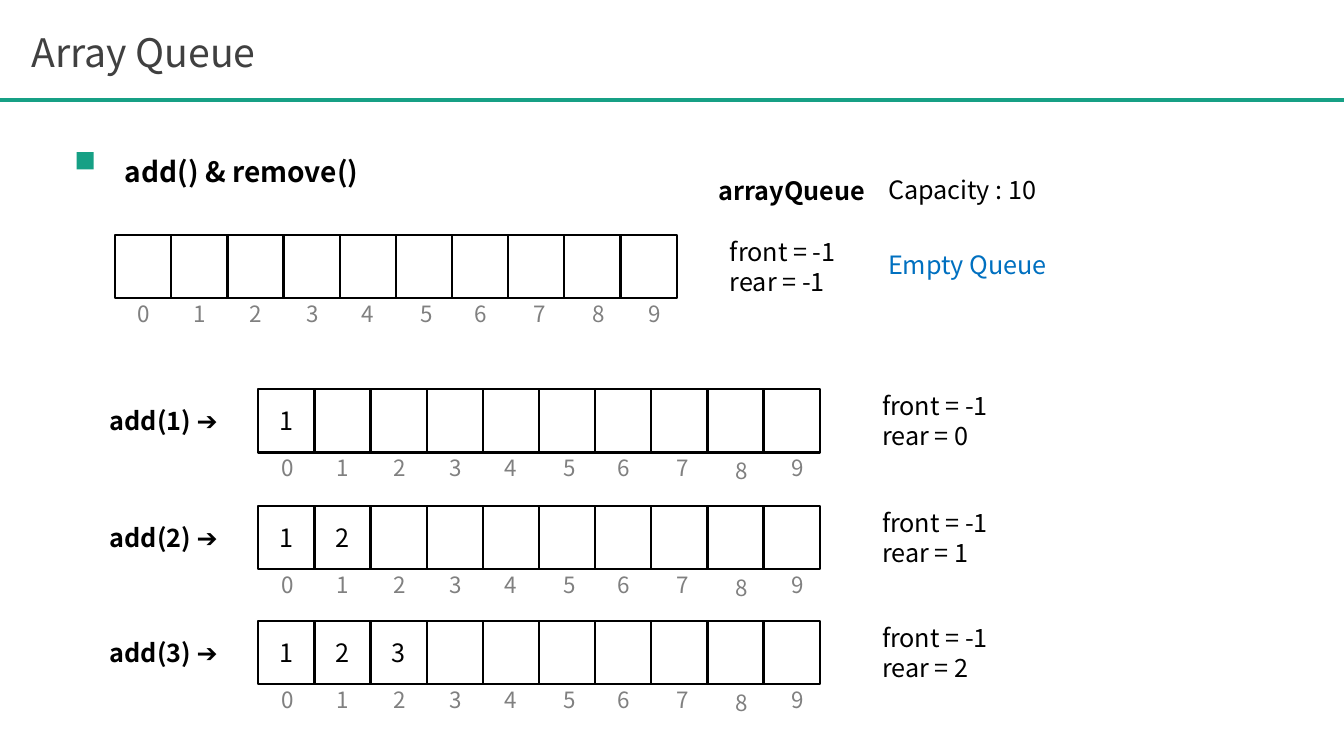
from lxml import etree
from pptx import Presentation
from pptx.dml.color import RGBColor
from pptx.enum.shapes import MSO_CONNECTOR, MSO_SHAPE
from pptx.enum.text import MSO_ANCHOR, MSO_AUTO_SIZE, PP_ALIGN
from pptx.oxml.ns import qn
from pptx.util import Inches, Pt

FONT = "Noto Sans CJK KR"
COLORS = {"teal": "16A085", "title": "404040", "text": "000000",
          "index": "808080", "blue": "0070C0"}
CAPACITY = 10
CELL_W, CELL_H = 0.56, 0.63
CELL_STEP = 0.557
INDEX_OFFSETS = [0.13, 0.68, 1.24, 1.8, 2.35, 2.93, 3.47, 4.05, 4.64, 5.19]


def write(sp, text, size=18, color="text", bold=False, align=PP_ALIGN.LEFT,
          anchor=MSO_ANCHOR.TOP, spacing=None, wrap=True):
    """Fill a shape with text, one paragraph per line."""
    tf = sp.text_frame
    tf.word_wrap = wrap
    tf.vertical_anchor = anchor
    for i, line in enumerate(text.split("\n")):
        p = tf.paragraphs[0] if i == 0 else tf.add_paragraph()
        p.alignment = align
        if spacing:
            p.line_spacing = spacing
        r = p.add_run()
        r.text = line
        r.font.name = FONT
        r.font.size = Pt(size)
        r.font.bold = bold
        r.font.color.rgb = RGBColor.from_string(COLORS[color])


def add_text(shapes, text, left, top, width, height, **fmt):
    """Add a text box that grows with its text."""
    sp = shapes.add_textbox(Inches(left), Inches(top), Inches(width), Inches(height))
    write(sp, text, **fmt)
    sp.text_frame.auto_size = MSO_AUTO_SIZE.SHAPE_TO_FIT_TEXT


prs = Presentation()
prs.slide_width, prs.slide_height = Inches(13.33), Inches(7.5)
s = prs.slides.add_slide(prs.slide_layouts[5])

# Header
rule = s.shapes.add_connector(MSO_CONNECTOR.STRAIGHT, 0, Inches(0.99),
                              prs.slide_width, Inches(0.99))
rule.line.color.rgb = RGBColor.from_string(COLORS["teal"])
rule.line.width = Pt(3)
etree.SubElement(rule._element.spPr, qn("a:effectLst"))

title = s.shapes.title
title.left, title.top = Inches(0.21), Inches(0.23)
title.width, title.height = Inches(10.15), Inches(0.57)
write(title, "Array Queue", size=28, color="title")
title.text_frame.auto_size = MSO_AUTO_SIZE.SHAPE_TO_FIT_TEXT

# Section heading with its square marker
add_text(s.shapes, "add() & remove()", 1.14, 1.15, 9.4, 0.77, size=20, bold=True,
         align=PP_ALIGN.JUSTIFY, spacing=2.0)
marker = s.shapes.add_shape(MSO_SHAPE.RECTANGLE, Inches(0.76), Inches(1.51),
                            Inches(0.17), Inches(0.17))
marker.shadow.inherit = False
marker.fill.solid()
marker.fill.fore_color.rgb = RGBColor.from_string(COLORS["teal"])
marker.line.fill.background()

# Queue states: left, top, values, drop of index 8, state left, state width
queues = [(1.14, 2.33, [], 0, 7.14, 1.51),
          (2.56, 3.86, [1], 0.03, 8.65, 2.47),
          (2.56, 5.02, [1, 2], 0.03, 8.65, 2.47),
          (2.56, 6.16, [1, 2, 3], 0.03, 8.65, 2.47)]
for left, top, values, drop, state_left, state_w in queues:
    group = s.shapes.add_group_shape()
    for i in range(CAPACITY):
        cell = group.shapes.add_shape(
            MSO_SHAPE.RECTANGLE, Inches(left + i * CELL_STEP), Inches(top),
            Inches(CELL_W), Inches(CELL_H))
        cell.shadow.inherit = False
        cell.fill.background()
        cell.line.color.rgb = RGBColor.from_string(COLORS["text"])
        cell.line.width = Pt(1.5)
        if i < len(values):
            write(cell, str(values[i]), align=PP_ALIGN.CENTER, anchor=MSO_ANCHOR.MIDDLE)
    for i, offset in enumerate(INDEX_OFFSETS):
        add_text(group.shapes, str(i), left + offset, top + 0.6 + (drop if i == 8 else 0),
                 0.23, 0.37, size=16, color="index")
    add_text(s.shapes, f"front = -1\nrear = {len(values) - 1}",
             state_left, top - 0.04, state_w, 0.71)
    if values:
        add_text(s.shapes, f"add({values[-1]}) \u2794", 0.99, top + 0.11, 1.34, 0.4,
                 bold=True, wrap=False)

# Notes on the empty queue
add_text(s.shapes, "arrayQueue", 7.03, 1.69, 2.09, 0.4, bold=True)
add_text(s.shapes, "Capacity : 10", 8.71, 1.68, 2.33, 0.4)
add_text(s.shapes, "Empty Queue", 8.71, 2.42, 2.18, 0.4, color="blue")

prs.save("out.pptx")
